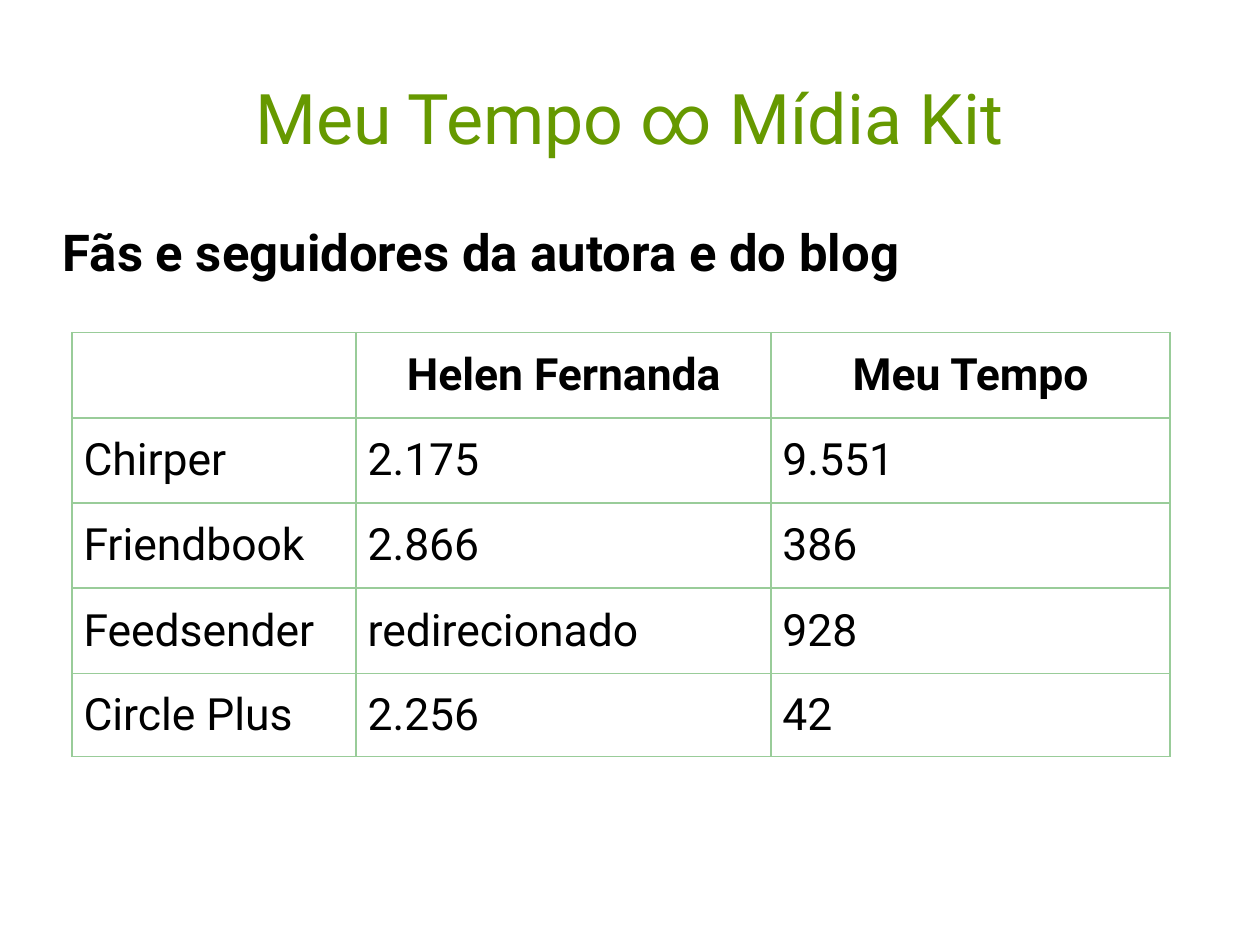
from dataclasses import dataclass

from lxml import etree
from pptx import Presentation
from pptx.dml.color import RGBColor
from pptx.enum.text import MSO_ANCHOR, MSO_AUTO_SIZE, PP_ALIGN
from pptx.oxml.ns import qn
from pptx.util import Pt

LEFT, CENTER = PP_ALIGN.LEFT, PP_ALIGN.CENTER
TOP, MIDDLE = MSO_ANCHOR.TOP, MSO_ANCHOR.MIDDLE
NO_AUTOFIT = MSO_AUTO_SIZE.NONE

COLORS = {"title": "669900", "text": "000000", "border": "99CC99"}
FONT = "Roboto"
SLIDE_WIDTH, SLIDE_HEIGHT = Pt(793.7), Pt(595.28)
BORDER_WIDTH = Pt(1.13)
COLUMN_WIDTHS = (179, 261.3, 251.3)
ROW_HEIGHTS = (53.7, 53.7, 53.7, 53.7, 52.4)
FOLLOWERS = (
    ("", "Helen Fernanda", "Meu Tempo"),
    ("Chirper", "2.175", "9.551"),
    ("Friendbook", "2.866", "386"),
    ("Feedsender", "redirecionado", "928"),
    ("Circle Plus", "2.256", "42"),
)


@dataclass(frozen=True)
class TextStyle:
    size: float
    color: str = "text"
    bold: bool = False
    align: PP_ALIGN = LEFT


@dataclass(frozen=True)
class Heading:
    placeholder: int
    text: str
    top: float
    height: float
    anchor: MSO_ANCHOR
    style: TextStyle


HEADINGS = (
    Heading(0, "Meu Tempo ∞ Mídia Kit", 23.8, 99.4, MIDDLE,
            TextStyle(44, "title", align=CENTER)),
    Heading(1, "Fãs e seguidores da autora e do blog", 139, 344.9, TOP,
            TextStyle(32, bold=True)),
)
HEADER_STYLE = TextStyle(28, bold=True, align=CENTER)
ENTRY_STYLE = TextStyle(28)


def write(frame, text: str, style: TextStyle) -> None:
    frame.text = text
    paragraph = frame.paragraphs[0]
    paragraph.alignment = style.align
    paragraph.space_before = Pt(0)
    font = paragraph.font
    font.name, font.size, font.bold = FONT, Pt(style.size), style.bold
    font.color.rgb = RGBColor.from_string(COLORS[style.color])


def place_heading(slide, heading: Heading) -> None:
    holder = slide.placeholders[heading.placeholder]
    holder.left, holder.top = Pt(39.6), Pt(heading.top)
    holder.width, holder.height = Pt(714.2), Pt(heading.height)
    frame = holder.text_frame
    frame.margin_left = frame.margin_right = Pt(0)
    frame.margin_top = frame.margin_bottom = Pt(0)
    frame.word_wrap, frame.auto_size = True, NO_AUTOFIT
    frame.vertical_anchor = heading.anchor
    write(frame, heading.text, heading.style)
    # Plain line without bullet or hanging indent
    properties = frame.paragraphs[0]._p.get_or_add_pPr()
    properties.set("marL", "0")
    properties.set("indent", "0")
    etree.SubElement(properties, qn("a:buNone"))
    properties.append(properties.find(qn("a:defRPr")))


def outline_cell(cell) -> None:
    properties = cell._tc.get_or_add_tcPr()
    for side in ("lnL", "lnR", "lnT", "lnB"):
        line = etree.SubElement(properties, qn(f"a:{side}"), w=str(BORDER_WIDTH))
        fill = etree.SubElement(line, qn("a:solidFill"))
        etree.SubElement(fill, qn("a:srgbClr"), val=COLORS["border"])


def add_followers_table(slide) -> None:
    table = slide.shapes.add_table(
        len(FOLLOWERS), len(COLUMN_WIDTHS), Pt(45.4), Pt(209.5),
        Pt(sum(COLUMN_WIDTHS)), Pt(sum(ROW_HEIGHTS))).table
    table.horz_banding = False
    for column, width in zip(table.columns, COLUMN_WIDTHS):
        column.width = Pt(width)
    for index, (row, height, entries) in enumerate(
            zip(table.rows, ROW_HEIGHTS, FOLLOWERS)):
        row.height = Pt(height)
        for cell, entry in zip(row.cells, entries):
            outline_cell(cell)
            cell.fill.background()
            cell.vertical_anchor = MIDDLE
            write(cell.text_frame, entry, ENTRY_STYLE if index else HEADER_STYLE)


def main() -> None:
    presentation = Presentation()
    presentation.slide_width = SLIDE_WIDTH
    presentation.slide_height = SLIDE_HEIGHT
    slide = presentation.slides.add_slide(presentation.slide_layouts[1])
    # Title and subtitle
    for heading in HEADINGS:
        place_heading(slide, heading)
    # Follower counts
    add_followers_table(slide)
    presentation.save("out.pptx")


if __name__ == "__main__":
    main()
